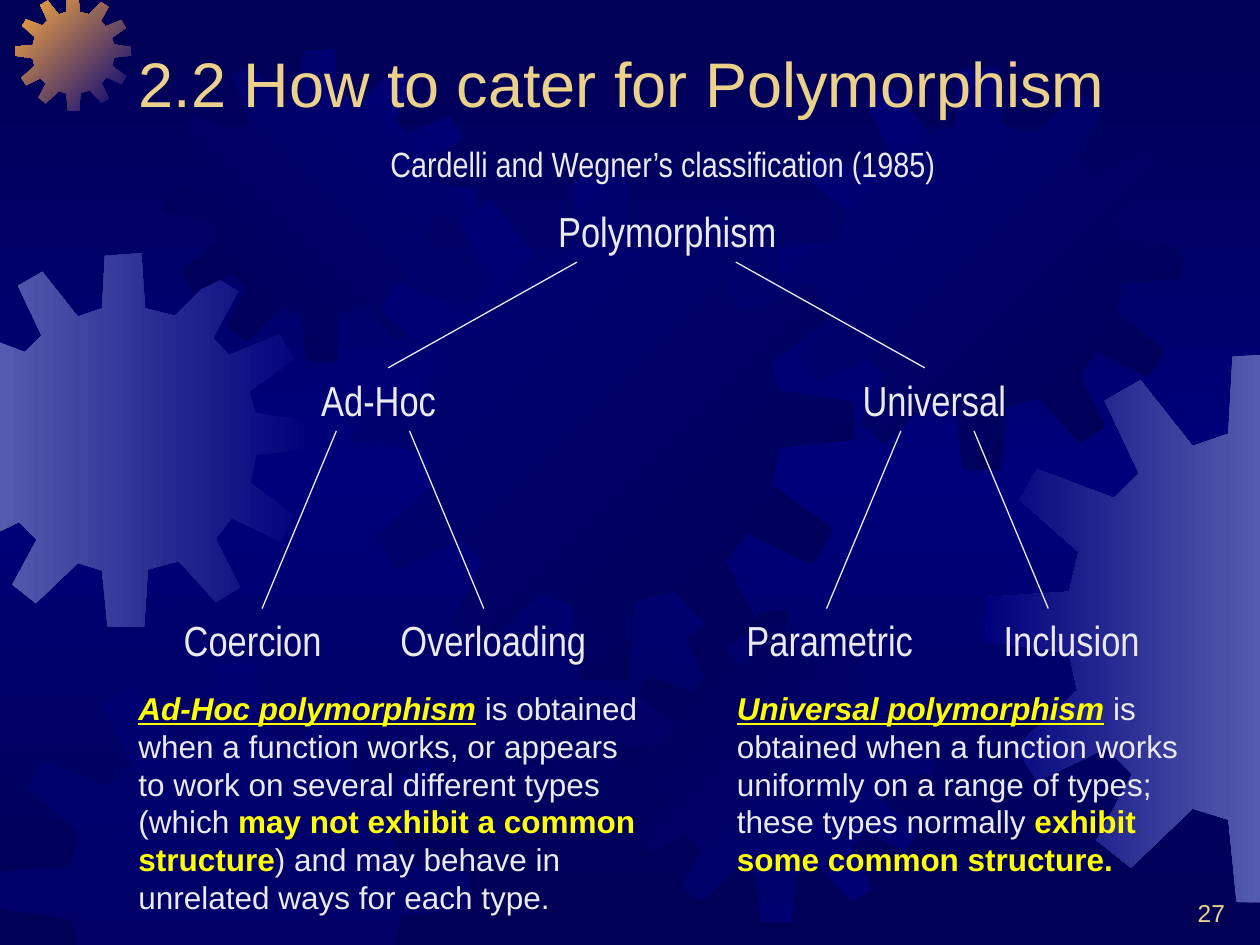
import copy

import lxml.etree
import pptx
import pptx.dml.color
import pptx.enum.text
import pptx.oxml.ns
import pptx.util

Inches = pptx.util.Inches
Pt = pptx.util.Pt
RGBColor = pptx.dml.color.RGBColor
ALIGN = pptx.enum.text.PP_ALIGN
ANCHOR = pptx.enum.text.MSO_ANCHOR
qn = pptx.oxml.ns.qn

NAVY = RGBColor(0x00, 0x00, 0x54)
BLUE = RGBColor(0x00, 0x00, 0x7A)
LILAC = RGBColor(0x55, 0x5B, 0xAD)
ORANGE = RGBColor(0xFC, 0xAB, 0x40)
GOLD = RGBColor(0xEB, 0xD1, 0x89)
PALE = RGBColor(0xEA, 0xEA, 0xEA)
YELLOW = RGBColor(0xFF, 0xFF, 0x00)

WIDTH, HEIGHT = 10, 7.5
GEAR_UNITS = 401
GEAR = [
    (255, 67), (223, 59), (219, 0), (180, 3), (177, 59), (151, 68),
    (113, 20), (87, 35), (112, 88), (94, 106), (38, 85), (25, 107),
    (68, 145), (61, 174), (1, 178), (0, 210), (61, 219), (67, 246),
    (22, 287), (38, 312), (88, 288), (107, 307), (81, 355), (106, 375),
    (151, 332), (177, 340), (183, 400), (222, 401), (226, 339), (259, 330),
    (299, 374), (325, 358), (299, 306), (316, 284), (368, 309), (384, 281),
    (336, 246), (342, 216), (401, 210), (400, 180), (341, 171), (335, 148),
    (383, 114), (367, 87), (313, 109), (296, 91), (323, 41), (297, 25),
]
GEARS = [
    (-0.5, 2.01, 2.97, BLUE, LILAC, 180),
    (0.12, -0.04, 0.92, BLUE, ORANGE, 225),
    (1.3, 0.39, 2.48, BLUE, NAVY, 135),
    (2.77, 1.39, 4.01, NAVY, BLUE, 225),
    (-0.01, 5.25, 3.75, BLUE, None, 0),
    (4.91, 4.84, 2.48, BLUE, NAVY, 225),
    (6.18, 0.53, 3.2, NAVY, BLUE, 225),
    (7.82, 2.8, 4.37, LILAC, BLUE, 180),
]
NODES = [
    ("Polymorphism", 3.67, 1.58, 3.25),
    ("Ad-Hoc", 1.92, 2.92, 2.17),
    ("Universal", 6.25, 2.92, 2.33),
    ("Coercion", 0.92, 4.83, 2.17),
    ("Overloading", 2.83, 4.83, 2.17),
    ("Parametric", 5.5, 4.83, 2.17),
    ("Inclusion", 7.42, 4.83, 2.17),
]
FORKS = [
    (5.21, 2.08, 2.92, 0.63, 2.13),
    (2.96, 3.42, 4.83, 0.29, 0.88),
    (7.44, 3.42, 4.83, 0.29, 0.88),
]
AD_HOC = [
    ("Ad-Hoc polymorphism", "term"),
    (" is obtained when a function works, or appears to work on several "
     "different types (which ", "plain"),
    ("may not exhibit a common structure", "strong"),
    (") and may behave in unrelated ways for each type.", "plain"),
]
UNIVERSAL = [
    ("Universal polymorphism", "term"),
    (" is obtained when a function works uniformly on a range of types; "
     "these types normally ", "plain"),
    ("exhibit some common structure.", "strong"),
]


def clip(points, axis, limit, sign):
    """Cut a polygon along one edge of the slide."""
    kept = []
    for a, b in zip(points, points[1:] + points[:1]):
        da, db = sign * (a[axis] - limit), sign * (b[axis] - limit)
        if da >= 0:
            kept.append(a)
        if da * db < 0:
            t = da / (da - db)
            kept.append(tuple(u + t * (v - u) for u, v in zip(a, b)))
    return kept


def fill_gradient(fill, colors, angle):
    """Set a two-colour linear gradient, angle measured clockwise."""
    fill.gradient()
    fill.gradient_angle = 360 - angle
    for stop, color in zip(fill.gradient_stops, colors):
        stop.color.rgb = color


def add_background(s):
    """Fill the slide dark at top and bottom and lighter in the middle."""
    fill = s.background.fill
    fill_gradient(fill, (NAVY, BLUE), 90)
    stops = s.element.find(".//" + qn("a:gsLst"))
    stops.append(copy.deepcopy(stops[0]))
    for stop, position in zip(fill.gradient_stops, (0, 0.5, 1)):
        stop.position = position


def add_gear(s, left, top, size, start, end, angle):
    """Draw one gear, cut at the slide edges."""
    scale = size / GEAR_UNITS
    points = [(left + x * scale, top + y * scale) for x, y in GEAR]
    for axis, limit, sign in ((0, 0, 1), (0, WIDTH, -1), (1, 0, 1), (1, HEIGHT, -1)):
        points = clip(points, axis, limit, sign)
    points = [(Inches(x), Inches(y)) for x, y in points]
    builder = s.shapes.build_freeform(*points[0], scale=1.0)
    builder.add_line_segments(points[1:], close=True)
    sp = builder.convert_to_shape()
    sp.shadow.inherit = False
    sp.line.fill.background()
    if end is not None:
        fill_gradient(sp.fill, (start, end), angle)
    else:
        sp.fill.solid()
        sp.fill.fore_color.rgb = start
        color = sp.element.spPr.find(".//" + qn("a:srgbClr"))
        lxml.etree.SubElement(color, qn("a:alpha"), val="50000")


def format_paragraph(p, font, size, color, align=ALIGN.LEFT):
    """Set the font and alignment of a paragraph."""
    p.alignment = align
    p.font.name, p.font.size, p.font.color.rgb = font, Pt(size), color


def add_title(s, left, top, width, height, text):
    """Place the title placeholder in front of the gears."""
    sp = s.shapes.title
    s.shapes.element.append(sp.element)
    sp.left, sp.top, sp.width, sp.height = map(Inches, (left, top, width, height))
    tf = sp.text_frame
    tf.text = text
    tf.auto_size = pptx.enum.text.MSO_AUTO_SIZE.NONE
    tf.vertical_anchor = ANCHOR.BOTTOM
    format_paragraph(tf.paragraphs[0], "Arial", 36, GOLD)


def add_text(s, left, top, width, height, text, font, size, color=PALE, align=ALIGN.LEFT):
    """Add a wrapped one-paragraph text box."""
    sp = s.shapes.add_textbox(*map(Inches, (left, top, width, height)))
    tf = sp.text_frame
    tf.word_wrap = True
    p = tf.paragraphs[0]
    p.text = text
    format_paragraph(p, font, size, color, align)
    return sp


def add_definition(s, left, top, width, height, parts):
    """Add a definition with its key phrases highlighted."""
    p = add_text(s, left, top, width, height, "", "Arial", 18).text_frame.paragraphs[0]
    for text, style in parts:
        r = p.add_run()
        r.text = text
        if style != "plain":
            r.font.bold = True
            r.font.color.rgb = YELLOW
        if style == "term":
            r.font.italic = r.font.underline = True


def add_fork(s, axis, top, bottom, near, far):
    """Draw two lines spreading down from either side of an axis."""
    for side in (-1, 1):
        ends = (axis + side * near, top, axis + side * far, bottom)
        line = s.shapes.add_connector(pptx.enum.shapes.MSO_CONNECTOR.STRAIGHT, *map(Inches, ends))
        line.line.color.rgb = PALE
        line.line.width = Pt(0.75)
        lxml.etree.SubElement(line.element.spPr, qn("a:effectLst"))


def add_tree(s):
    """Draw the classification tree."""
    for name, left, top, width in NODES:
        add_text(s, left, top, width, 0.5, name, "Arial Narrow", 24, align=ALIGN.CENTER)
    for fork in FORKS:
        add_fork(s, *fork)


def main():
    """Build and save the slide."""
    prs = pptx.Presentation()
    prs.slide_width, prs.slide_height = Inches(WIDTH), Inches(HEIGHT)
    s = prs.slides.add_slide(prs.slide_layouts[5])
    add_background(s)
    for gear in GEARS:
        add_gear(s, *gear)
    add_title(s, 1, 0.17, 8.83, 0.83, "2.2 How to cater for Polymorphism")
    add_tree(s)
    add_definition(s, 1, 5.42, 4.21, 1.9, AD_HOC)
    add_definition(s, 5.75, 5.42, 3.83, 1.6, UNIVERSAL)
    add_text(s, 3, 1.08, 4.58, 0.44, "Cardelli and Wegner’s classification (1985)",
             "Arial Narrow", 20)
    number = add_text(s, 7.74, 7.08, 2.08, 0.33, "27", "Arial", 14, GOLD, ALIGN.RIGHT)
    number.text_frame.vertical_anchor = ANCHOR.BOTTOM
    prs.save("out.pptx")


if __name__ == "__main__":
    main()
